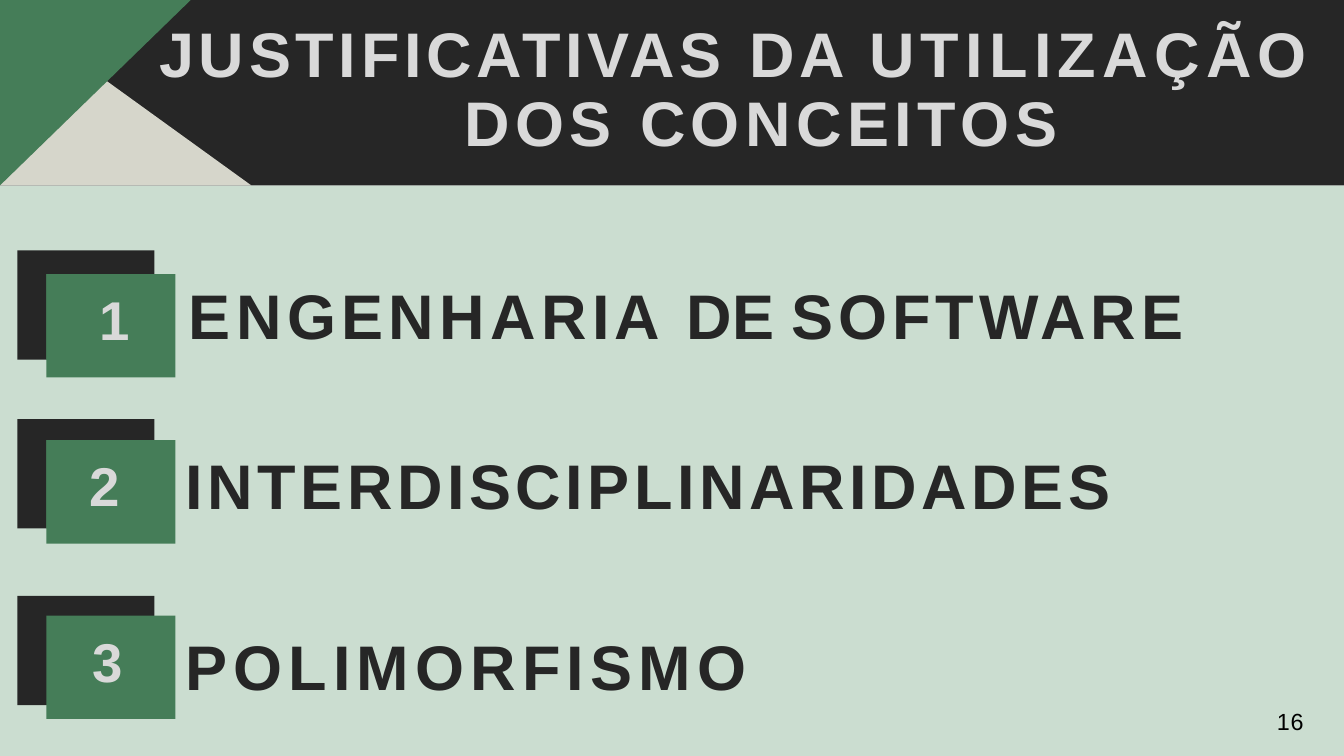
from pptx import Presentation
from pptx import util as u
from pptx.dml.color import RGBColor
from pptx.enum import shapes, text
from lxml import etree

DARK, GREEN, MINT, BEIGE, GREY = "262626", "457D58", "CBDDD0", "F5F5E8", "D9D9D9"
RECTANGLE = shapes.MSO_SHAPE.RECTANGLE


def paint(target, color):
    """Fill a shape or a font with a solid colour."""
    target.fill.solid()
    target.fill.fore_color.rgb = RGBColor.from_string(color)


def write(shape, runs, size, color, top=0, margin=0.03, indent=0, bold=True, **spacing):
    """Write one paragraph of (wording, letter spacing in points) runs."""
    frame = shape.text_frame
    frame_format = {
        "word_wrap": True,
        "auto_size": text.MSO_AUTO_SIZE.SHAPE_TO_FIT_TEXT,
        "vertical_anchor": text.MSO_ANCHOR.TOP,
        "margin_left": 0, "margin_right": 0, "margin_bottom": 0,
        "margin_top": u.Cm(top),
    }
    for name, value in frame_format.items():
        setattr(frame, name, value)

    paragraph = frame.paragraphs[0]
    paragraph.alignment = text.PP_ALIGN.LEFT
    for name, points in spacing.items():
        setattr(paragraph, name, u.Pt(points))
    properties = paragraph._p.get_or_add_pPr()
    properties.set("marL", str(u.Cm(margin)))
    properties.set("indent", str(u.Cm(indent)))

    for wording, letter_spacing in runs:
        run = paragraph.add_run()
        run.text = wording
        for name, value in {"name": "Arial", "size": u.Pt(size), "bold": bold}.items():
            setattr(run.font, name, value)
        paint(run.font, color)
        run._r.get_or_add_rPr().set("spc", str(round(letter_spacing * 100)))


presentation = Presentation()
presentation.slide_width, presentation.slide_height = u.Cm(50.8), u.Cm(28.58)
slide = presentation.slides.add_slide(presentation.slide_layouts[5])
title = slide.shapes.title

# Mint page and dark header band
HEADER = 7.01
for top, height, color in [(HEADER, 28.58 - HEADER, MINT), (0, HEADER, DARK)]:
    band = slide.shapes.add_shape(RECTANGLE, 0, u.Cm(top), u.Cm(50.8), u.Cm(height))
    paint(band, color)

# Corner triangles: translucent beige under green
triangles = [
    ([(9.5, HEADER), (0, HEADER), (0, 0.15)], BEIGE, 85),
    ([(0, HEADER), (0, 0), (7.21, 0)], GREEN, 100),
]
for corners, color, opacity in triangles:
    points = [(u.Cm(x), u.Cm(y)) for x, y in corners]
    builder = slide.shapes.build_freeform(*points[0])
    builder.add_line_segments(points[1:])
    triangle = builder.convert_to_shape()
    paint(triangle, color)
    if opacity < 100:
        tint = triangle._element.spPr.find(".//{*}srgbClr")
        alpha = etree.SubElement(tint, tint.tag.replace("srgbClr", "alpha"))
        alpha.set("val", str(opacity * 1000))

# Title, brought in front of the header band
slide.shapes._spTree.append(title._element)
title.left, title.top, title.width, title.height = map(u.Cm, (5.97, 0.43, 44.42, 5.54))
title_runs = [("JUSTIFICATIVAS ", 5.1), ("DA ", 4.9), ("UTILIZAÇÃO ", 6.8),
              ("DOS ", 5.7), ("CONCEITOS", 6)]
write(title, title_runs, 67.5, GREY, top=0.36, margin=11.6, indent=-11.55,
      line_spacing=73.8, space_before=9.8)

# Numbered topics: dark square, green tile, number and label
padded_number = {"top": 0.46, "space_before": 13.2}
padded_label = {"top": 0.05, "space_before": 1.4}
topics = [
    (9.47, 10.36,
     ("1", -8.3, (1.75, 10.36, 4.11, 3.25), {"margin": 2.01, **padded_number}),
     ([("ENGENHARIA ", 5.8), ("DE ", -0.1), ("SOFTWARE", 5.4)],
      (7.11, 10.41, 38.46, 2.95), padded_label)),
    (15.85, 16.64,
     ("2", 11.7, (1.75, 16.64, 4.11, 3.33), {"margin": 1.65, **padded_number}),
     ([("INTERDISCIPLINARIDADES", 5)],
      (6.98, 16.84, 35.38, 2.95), padded_label)),
    (22.53, 23.27,
     ("3", 6.5, (3.45, 23.9, 1.45, 2.67), {"line_spacing": 65.5}),
     ([("POLIMORFISMO", 6.7)],
      (6.98, 23.93, 21.59, 3.07), {"line_spacing": 75.6})),
]
for square_top, tile_top, number, label in topics:
    for box, color in [((0.66, square_top, 5.18, 4.13), DARK),
                       ((1.75, tile_top, 4.88, 3.91), GREEN)]:
        paint(slide.shapes.add_shape(RECTANGLE, *map(u.Cm, box)), color)

    digit, letter_spacing, box, layout = number
    number_box = slide.shapes.add_textbox(*map(u.Cm, box))
    paint(number_box, GREEN)
    write(number_box, [(digit, letter_spacing)], 58.5, GREY, **layout)

    label_runs, box, layout = label
    label_box = slide.shapes.add_textbox(*map(u.Cm, box))
    write(label_box, label_runs, 67.5, DARK, **layout)

# Page number
page_number = slide.shapes.add_textbox(*map(u.Cm, (48.16, 26.9, 1.27, 0.94)))
write(page_number, [("16", 1)], 25, "000000", margin=0.1, bold=False, line_spacing=25.6)

# No outlines or shadows anywhere
for shape in slide.shapes:
    shape.line.fill.background()
    if not shape.is_placeholder:
        shape.shadow.inherit = False

presentation.save("out.pptx")
